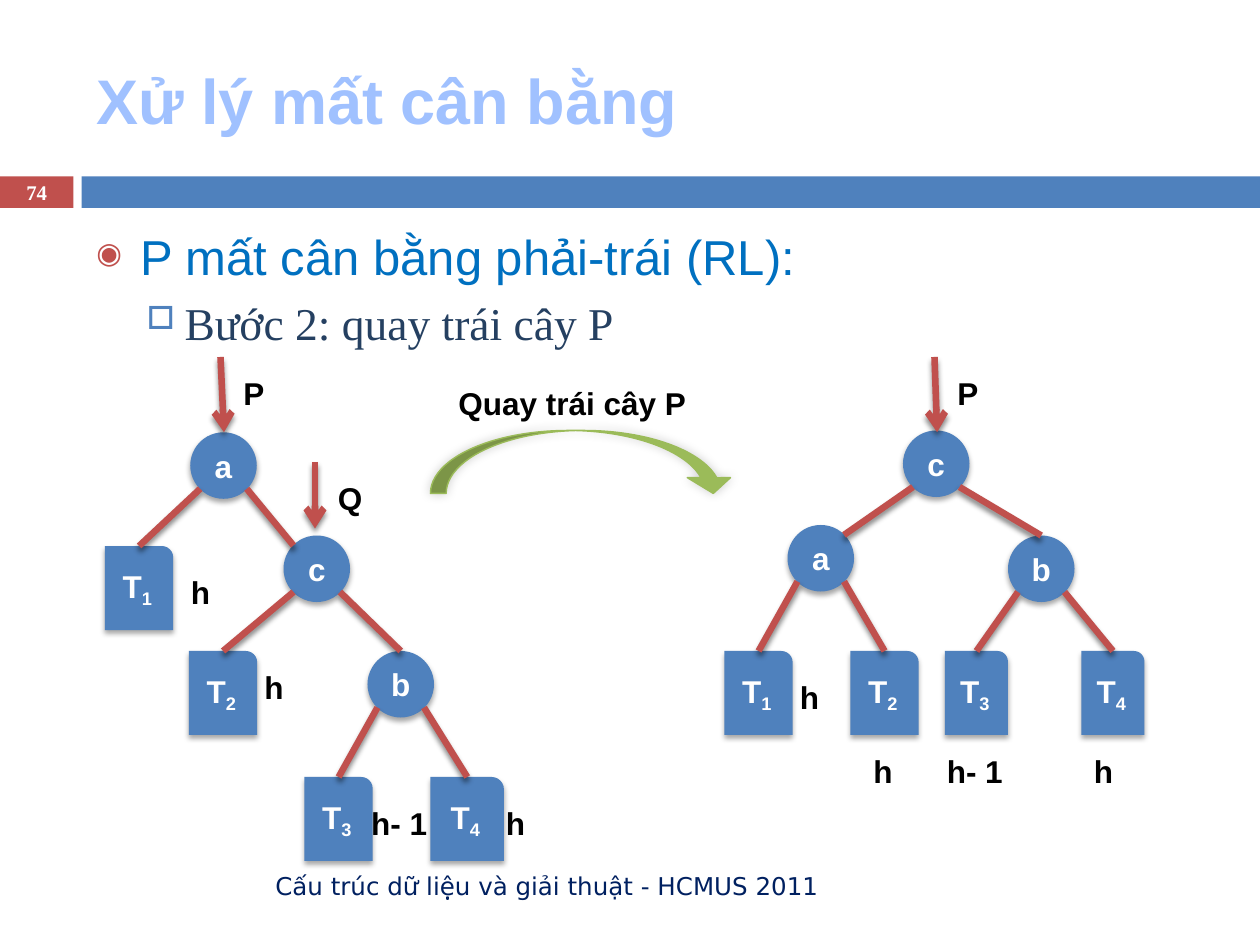
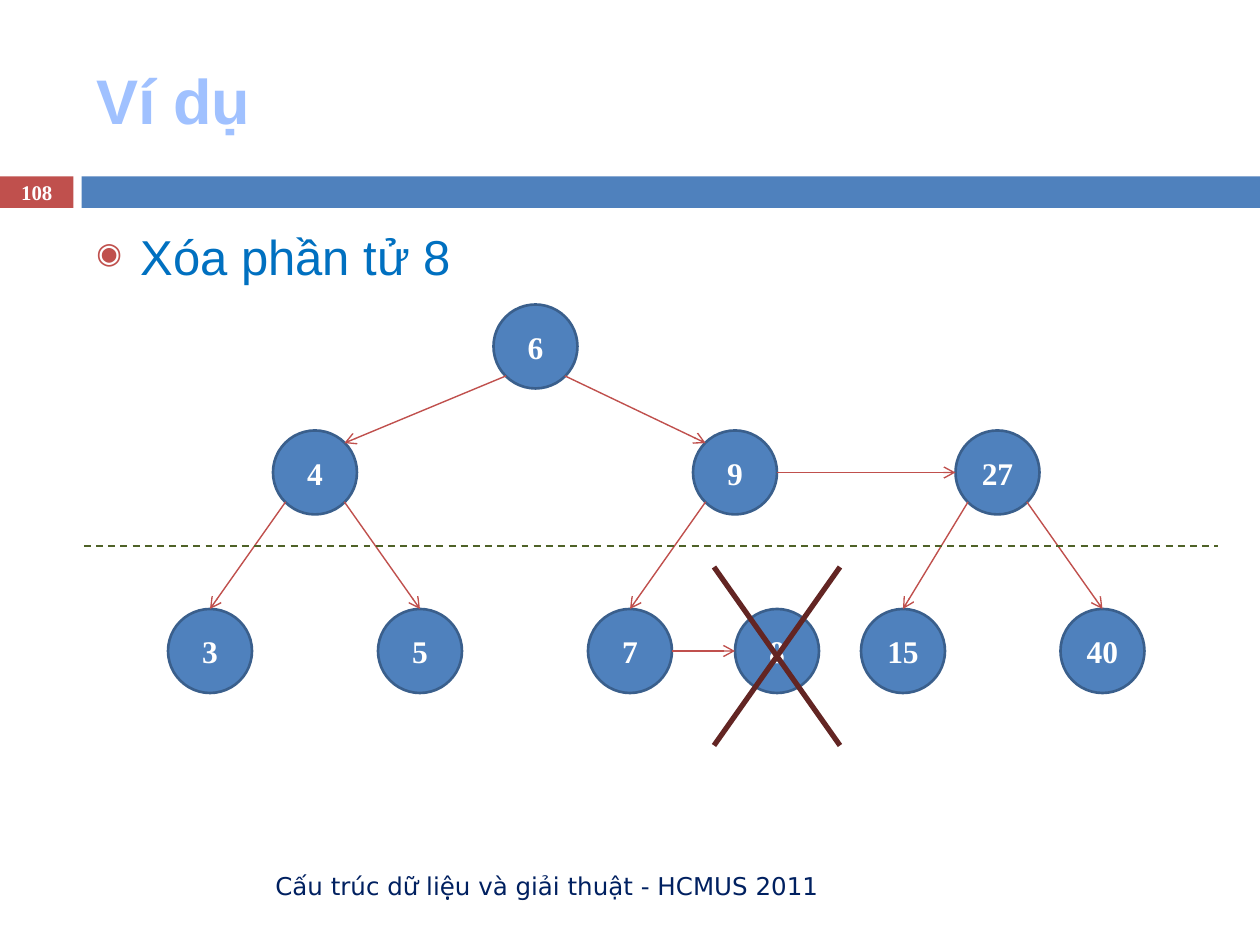
"""Build two lecture slides about balanced search trees."""
from lxml import etree
from pptx import Presentation
from pptx.dml.color import RGBColor
from pptx.enum.dml import MSO_LINE
from pptx.enum.shapes import MSO_CONNECTOR, MSO_SHAPE
from pptx.enum.text import MSO_ANCHOR, PP_ALIGN
from pptx.oxml.ns import qn
from pptx.util import Pt

STRAIGHT = MSO_CONNECTOR.STRAIGHT
DASH = MSO_LINE.DASH
RECTANGLE = MSO_SHAPE.RECTANGLE
OVAL = MSO_SHAPE.OVAL
SUBTREE = MSO_SHAPE.ROUND_1_RECTANGLE
CURVED_ARROW = MSO_SHAPE.CURVED_DOWN_ARROW
TOP, MIDDLE = MSO_ANCHOR.TOP, MSO_ANCHOR.MIDDLE
LEFT, CENTER, RIGHT = PP_ALIGN.LEFT, PP_ALIGN.CENTER, PP_ALIGN.RIGHT

COLORS = {
    "red": "C0504D", "blue": "4F81BD", "node_edge": "3A5F8C",
    "white": "FFFFFF", "black": "000000", "footer": "002060",
    "heading": "0070C0", "step": "254061", "green": "9BBB59",
    "cross": "632523", "level": "4F6228",
    "title_pale": "BFD3F9", "title_light": "A0C1FF", "title_dark": "003D85",
}
TITLE_STOPS = [(0, "title_pale"), (9, "title_light"), (50, "title_dark"),
               (79, "title_light"), (100, "title_pale")]
SANS, SERIF, FOOTER_FONT = "Arial", "Times New Roman", "DejaVu Sans"
FOOTER = "Cấu trúc dữ liệu và giải thuật - HCMUS 2011"

# Opacity %, blur and distance in points, direction in degrees
NODE_SHADOW = (35, 3, 2, 90)
EDGE_SHADOW = (45, 3, 2.4, 90)
ARROW_SHADOW = (20, 6, 0, 315)

# Bullet levels: character, colour, size %, margin, hanging indent,
# space before, font, font size, text colour
BULLETS = [
    ("◉", "red", 60, 25.2, -25.2, 7, SANS, 28, "heading"),
    ("□", "blue", 70, 50.4, -21.6, 5.5, SERIF, 26, "step"),
]

# Points on a circle, as fractions of its box
SITES = {"top": (0.5, 0), "left": (0, 0.5), "right": (1, 0.5),
         "top_left": (0.15, 0.15), "top_right": (0.85, 0.15),
         "bottom_left": (0.15, 0.85), "bottom_right": (0.85, 0.85)}

# Nodes: x, y. Subtrees: x, y, width. Edges: parent, site, child, site.
TREE_BEFORE = {
    "nodes": {"a": (108.7, 247), "c": (162, 306), "b": (210, 372)},
    "subtrees": {"1": (60, 312, 39), "2": (108, 372, 39),
                 "3": (174, 444, 39), "4": (246, 444, 42)},
    "edges": [("a", "bottom_left", "1", "top"),
              ("a", "bottom_right", "c", "top_left"),
              ("c", "bottom_left", "2", "top"),
              ("c", "bottom_right", "b", "top"),
              ("b", "bottom_left", "3", "top"),
              ("b", "bottom_right", "4", "top")],
    "labels": [("h", 102, 324), ("h", 144, 378), ("h- 1", 205, 456),
               ("h", 282, 456), ("P", 132, 210), ("Q", 186, 270)],
    "pointers": [((126, 204), (128, 247)), ((180, 264), (180, 302))],
}
TREE_AFTER = {
    "nodes": {"a": (450, 300), "c": (516, 246), "b": (576, 306)},
    "subtrees": {"1": (414, 372, 39), "2": (486, 372, 39),
                 "3": (540, 372, 36), "4": (618, 372, 36)},
    "edges": [("c", "bottom_left", "a", "top_right"),
              ("c", "bottom_right", "b", "top"),
              ("a", "bottom_left", "1", "top"),
              ("a", "bottom_right", "2", "top"),
              ("b", "bottom_left", "3", "top"),
              ("b", "bottom_right", "4", "top")],
    "labels": [("h", 450, 384), ("h", 492, 426), ("h- 1", 534, 426),
               ("h", 618, 426), ("P", 540, 210)],
    "pointers": [((534, 204), (535.5, 247))],
}
AA_ROWS = {174: {"6": 282},
           246: {"4": 156, "9": 396, "27": 546},
           348: {"3": 96, "5": 216, "7": 336, "8": 420, "15": 492, "40": 606}}
AA_EDGES = [("6", "bottom_left", "4", "top_right"),
            ("6", "bottom_right", "9", "top_left"),
            ("4", "bottom_left", "3", "top"),
            ("4", "bottom_right", "5", "top"),
            ("9", "bottom_left", "7", "top"),
            ("9", "right", "27", "left"),
            ("7", "right", "8", "left"),
            ("27", "bottom_left", "15", "top"),
            ("27", "bottom_right", "40", "top")]


def rgb(name):
    """Return the named colour."""
    return RGBColor.from_string(COLORS[name])


def add_child(parent, tag, **attributes):
    """Append a drawing element with the given attributes."""
    return etree.SubElement(parent, qn(tag), {k: str(v) for k, v in attributes.items()})


def set_shadow(shape, shadow=None):
    """Give a shape the given outer shadow, or none."""
    properties = shape.element.spPr
    for inherited in properties.findall(qn("a:effectLst")):
        properties.remove(inherited)
    effects = add_child(properties, "a:effectLst")
    if shadow:
        opacity, blur, distance, angle = shadow
        outer = add_child(effects, "a:outerShdw", blurRad=Pt(blur), dist=Pt(distance),
                          dir=angle * 60000, rotWithShape=0)
        color = add_child(outer, "a:srgbClr", val=COLORS["black"])
        add_child(color, "a:alpha", val=opacity * 1000)


def style_run(run, font, size, color, bold=False):
    """Set the font of one run."""
    run.font.name, run.font.size, run.font.bold = font, Pt(size), bold
    run.font.color.rgb = rgb(color)


def write(shape, text, font, size, color, bold=False, align=LEFT, anchor=TOP):
    """Put one styled paragraph into a shape and return the paragraph."""
    frame = shape.text_frame
    frame.text = text
    frame.word_wrap = True
    frame.vertical_anchor = anchor
    paragraph = frame.paragraphs[0]
    paragraph.alignment = align
    style_run(paragraph.runs[0], font, size, color, bold)
    return paragraph


def add_text(slide, box, *args, **kwargs):
    """Add a text box with one styled paragraph."""
    return write(slide.shapes.add_textbox(*map(Pt, box)), *args, **kwargs)


def add_filled(slide, preset, box, color, outline=None, shadow=None):
    """Add a filled preset shape; outline is a colour and a width."""
    shape = slide.shapes.add_shape(preset, *map(Pt, box))
    shape.fill.solid()
    shape.fill.fore_color.rgb = rgb(color)
    if outline:
        shape.line.color.rgb, shape.line.width = rgb(outline[0]), Pt(outline[1])
    else:
        shape.line.fill.background()
    set_shadow(shape, shadow)
    return shape


def add_line(slide, start, end, color, width, arrow=False, dash=None, shadow=None):
    """Add a straight line between two points."""
    line = slide.shapes.add_connector(STRAIGHT, *map(Pt, (*start, *end)))
    line.line.color.rgb, line.line.width = rgb(color), Pt(width)
    if dash:
        line.line.dash_style = dash
    if arrow:
        add_child(line.element.spPr.find(qn("a:ln")), "a:tailEnd", type="arrow")
    set_shadow(line, shadow)


def site_point(shape, site):
    """Return a connection point of a shape in points."""
    across, down = SITES[site]
    return ((shape.left + across * shape.width) / Pt(1),
            (shape.top + down * shape.height) / Pt(1))


def add_edges(slide, shapes, edges, width, **style):
    """Join parents to children."""
    for parent, start, child, end in edges:
        add_line(slide, site_point(shapes[parent], start),
                 site_point(shapes[child], end), "red", width, **style)


def fill_title(run):
    """Fill the title run with the shared gradient."""
    properties = run._r.get_or_add_rPr()
    properties.remove(properties.find(qn("a:solidFill")))
    gradient = etree.Element(qn("a:gradFill"))
    stops = add_child(gradient, "a:gsLst")
    for position, color in TITLE_STOPS:
        stop = add_child(stops, "a:gs", pos=position * 1000)
        add_child(stop, "a:srgbClr", val=COLORS[color])
    add_child(gradient, "a:lin", ang=90 * 60000)
    properties.insert(0, gradient)


def add_bullets(slide, lines):
    """Add the body text, one bullet level per line."""
    body = slide.shapes.add_textbox(*map(Pt, (48, 126, 642, 354)))
    frame = body.text_frame
    frame.word_wrap = True
    frame.text = "\n".join(lines)
    for level, paragraph in enumerate(frame.paragraphs):
        mark, mark_color, scale, margin, indent, before, font, size, color = BULLETS[level]
        style_run(paragraph.runs[0], font, size, color)
        paragraph.level = level
        paragraph.space_before = Pt(before)
        properties = paragraph._p.get_or_add_pPr()
        properties.set("marL", str(Pt(margin)))
        properties.set("indent", str(Pt(indent)))
        add_child(add_child(properties, "a:buClr"), "a:srgbClr", val=COLORS[mark_color])
        add_child(properties, "a:buSzPct", val=scale * 1000)
        add_child(properties, "a:buChar", char=mark)


def add_lecture_slide(deck, number, title, lines):
    """Add a slide with the shared bands, title, footer and bullets."""
    slide = deck.slides.add_slide(deck.slide_layouts[6])
    add_filled(slide, RECTANGLE, (0, 100.8, 42, 18), "red")
    add_filled(slide, RECTANGLE, (46.6, 100.8, 673.4, 18), "blue")
    heading = add_text(slide, (48, 18, 642, 78), title, SANS, 36, "title_light",
                       bold=True, anchor=MIDDLE)
    fill_title(heading.runs[0])
    add_text(slide, (48, 492, 427, 28.8), FOOTER, FOOTER_FONT, 14, "footer",
             align=RIGHT, anchor=MIDDLE)
    add_text(slide, (0, 100, 42, 19.4), number, SERIF, 11.9, "white",
             bold=True, align=CENTER, anchor=MIDDLE)
    add_bullets(slide, lines)
    return slide


def add_node(slide, label, x, y, diameter, font, **style):
    """Add a round tree node with its label."""
    node = add_filled(slide, OVAL, (x, y, diameter, diameter), "blue", **style)
    write(node, label, font, 18, "white", True, CENTER, MIDDLE)
    return node


def add_subtree(slide, index, x, y, width):
    """Add a subtree box labelled T with a subscript."""
    box = add_filled(slide, SUBTREE, (x, y, width, 48), "blue", shadow=NODE_SHADOW)
    label = write(box, "T", SANS, 18, "white", True, CENTER, MIDDLE)
    subscript = label.add_run()
    subscript.text = index
    style_run(subscript, SANS, 18, "white", True)
    subscript._r.get_or_add_rPr().set("baseline", "-25000")
    return box


def add_rotation_tree(slide, tree):
    """Draw one tree of the rotation with its heights and pointers."""
    shapes = {name: add_node(slide, name, x, y, 38, SANS, shadow=NODE_SHADOW)
              for name, (x, y) in tree["nodes"].items()}
    for index, place in tree["subtrees"].items():
        shapes[index] = add_subtree(slide, index, *place)
    add_edges(slide, shapes, tree["edges"], 3.75, shadow=EDGE_SHADOW)
    for label, x, y in tree["labels"]:
        add_text(slide, (x, y, 48.2, 29), label, SANS, 18, "black", bold=True)
    for start, end in tree["pointers"]:
        add_line(slide, start, end, "red", 3.75, arrow=True, shadow=EDGE_SHADOW)


def build_rotation(deck):
    """Build the slide on the left rotation of P."""
    slide = add_lecture_slide(deck, "74", "Xử lý mất cân bằng",
                              ["P mất cân bằng phải-trái (RL):", "Bước 2: quay trái cây P"])
    for tree in (TREE_AFTER, TREE_BEFORE):
        add_rotation_tree(slide, tree)
    rotation = add_filled(slide, CURVED_ARROW, (246, 246, 174, 36), "green",
                          outline=("green", 0.79), shadow=ARROW_SHADOW)
    for position, value in enumerate((0.25, 0.686, 0.25)):
        rotation.adjustments[position] = value
    add_text(slide, (246, 216, 162, 29), "Quay trái cây P", SANS, 18, "black",
             bold=True, align=CENTER)


def build_deletion(deck):
    """Build the slide on deleting element 8."""
    slide = add_lecture_slide(deck, "108", "Ví dụ", ["Xóa phần tử 8"])
    nodes = {key: add_node(slide, key, x, y, 48, SERIF, outline=("node_edge", 1.5))
             for y, row in AA_ROWS.items() for key, x in row.items()}
    add_edges(slide, nodes, AA_EDGES, 0.79, arrow=True)
    for start_x, end_x in ((408, 480), (480, 408)):
        add_line(slide, (start_x, 324), (end_x, 426), "cross", 3)
    add_line(slide, (48, 312), (696, 312), "level", 1, dash=DASH)


def main():
    """Build and save the deck."""
    deck = Presentation()
    deck.slide_width, deck.slide_height = Pt(720), Pt(540)
    build_rotation(deck)
    build_deletion(deck)
    deck.save("out.pptx")


if __name__ == "__main__":
    main()
